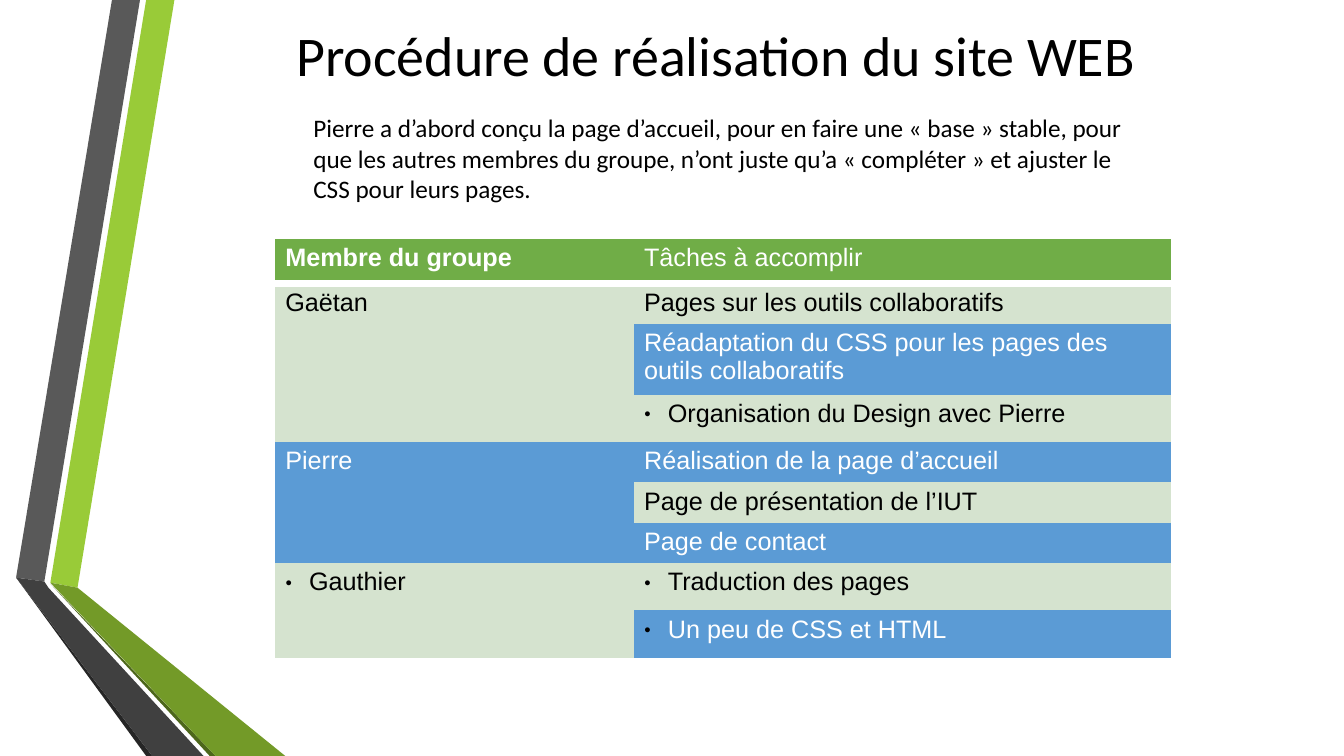
"""Slide on how a team shared out the building of its web site."""
from lxml import etree
from pptx import Presentation, util as u
from pptx.dml import color
from pptx.enum import text
from pptx.oxml import ns

Pt = u.Pt
A = ns.nsdecls("a")


def hue(code):
    return color.RGBColor.from_string(code)


def write(para, words, tint, **style):
    run = para.add_run()
    run.text = words
    run.font.color.rgb = hue(tint)
    for key, val in style.items():
        setattr(run.font, key, val)


deck = Presentation()
deck.slide_width, deck.slide_height = Pt(960), Pt(540)
slide = deck.slides.add_slide(deck.slide_layouts[6])
shapes = slide.shapes

bands = [
    ("99CB38", [(36, 416.2), (55.4, 419.8), (124.6, 0), (104.4, 0)]),
    ("595959", [(100, 0), (80, 0), (11.5, 412.6), (31.7, 415.4)]),
    ("262626", [(11.5, 412.6), (104.4, 540), (108.7, 540)]),
    ("4D671B", [(36, 416.9), (149.8, 540), (154, 540)]),
    ("739A28", [(36, 416.2), (154, 540), (203.8, 540), (55.4, 419.8)]),
    ("404040", [(145.4, 540), (34.6, 419.8), (31.7, 415.4), (11.5, 412.6),
                (108.7, 540)]),
]
for tint, dots in bands:
    dots = [(Pt(x), Pt(y)) for x, y in dots]
    pen = shapes.build_freeform(*dots[0], scale=1.0)
    pen.add_line_segments(dots[1:], close=True)
    band = pen.convert_to_shape()
    band.shadow.inherit = False
    band.fill.solid()
    band.fill.fore_color.rgb = hue(tint)
    band.line.fill.background()

intro = ("Pierre a d’abord conçu la page d’accueil, pour en faire une « base » "
         "stable, pour que les autres membres du groupe, n’ont juste qu’a "
         "« compléter » et ajuster le CSS pour leurs pages.")
boxes = [
    ("Procédure de réalisation du site WEB", 40, (116.6, 6.5, 789, 70.5),
     text.MSO_ANCHOR.MIDDLE,
     {"alignment": text.PP_ALIGN.CENTER, "line_spacing": 0.9}),
    (intro, 18, (216.7, 77, 599, 80.6), text.MSO_ANCHOR.TOP, {}),
]
for words, size, area, anchor, look in boxes:
    frame = shapes.add_textbox(*map(Pt, area)).text_frame
    frame.word_wrap = True
    frame.vertical_anchor = anchor
    para = frame.paragraphs[0]
    for key, val in look.items():
        setattr(para, key, val)
    write(para, words, "000000", name="Calibri", size=Pt(size))

HEAD, LINE, LIST, PAIR = 31.8, 28.8, 33.8, 50.7
GREEN, PALE, BLUE = "70AD47", "D5E3CF", "5B9BD5"
rows = [
    (HEAD, GREEN, "Membre du groupe", "Tâches à accomplir"),
    (LINE, PALE, "Gaëtan", "Pages sur les outils collaboratifs"),
    (PAIR, BLUE, "",
     "Réadaptation du CSS pour les pages des outils collaboratifs"),
    (LIST, PALE, "", "Organisation du Design avec Pierre"),
    (LINE, BLUE, "Pierre", "Réalisation de la page d’accueil"),
    (LINE, PALE, "", "Page de présentation de l’IUT"),
    (LINE, BLUE, "", "Page de contact"),
    (LIST, PALE, "Gauthier", "Traduction des pages"),
    (LIST, BLUE, "", "Un peu de CSS et HTML"),
]
bullet = [
    f'<a:buClr {A}><a:srgbClr val="000000"/></a:buClr>',
    f'<a:buSzPct {A} val="45000"/>',
    f'<a:buFont {A} typeface="Arial"/>',
    f'<a:buChar {A} char="●"/>',
]
rule = (f'<a:lnB {A} w="76200"><a:solidFill><a:srgbClr val="FFFFFF"/>'
        '</a:solidFill></a:lnB>')

high = sum(row[0] for row in rows)
table = shapes.add_table(len(rows), 2, Pt(196.6), Pt(170.6), Pt(640),
                         Pt(high)).table
table.first_row = table.horz_banding = False
style = table._tbl.tblPr.find(ns.qn("a:tableStyleId"))
style.text = "{2D5ABB26-0587-4C30-8999-92F81FD0307C}"
for col, wide in zip(table.columns, (256.3, 383.7)):
    col.width = Pt(wide)
for top, end in ((1, 3), (4, 6), (7, 8)):
    table.cell(top, 0).merge(table.cell(end, 0))

for r, (tall, tint, *pair) in enumerate(rows):
    table.rows[r].height = Pt(tall)
    for c, words in enumerate(pair):
        if not words:
            continue
        cell = table.cell(r, c)
        cell.fill.solid()
        cell.fill.fore_color.rgb = hue(tint)
        para = cell.text_frame.paragraphs[0]
        ink = "000000" if tint == PALE else "FFFFFF"
        write(para, words, ink, name="Arial", size=Pt(18), bold=r + c == 0)
        if tall == HEAD:
            cell._tc.get_or_add_tcPr().insert(0, etree.fromstring(rule))
        if tall == LIST:
            props = para._p.get_or_add_pPr()
            props.set("marL", str(Pt(17)))
            props.set("indent", str(Pt(-17)))
            for part in bullet:
                props.append(etree.fromstring(part))

deck.save("out.pptx")
